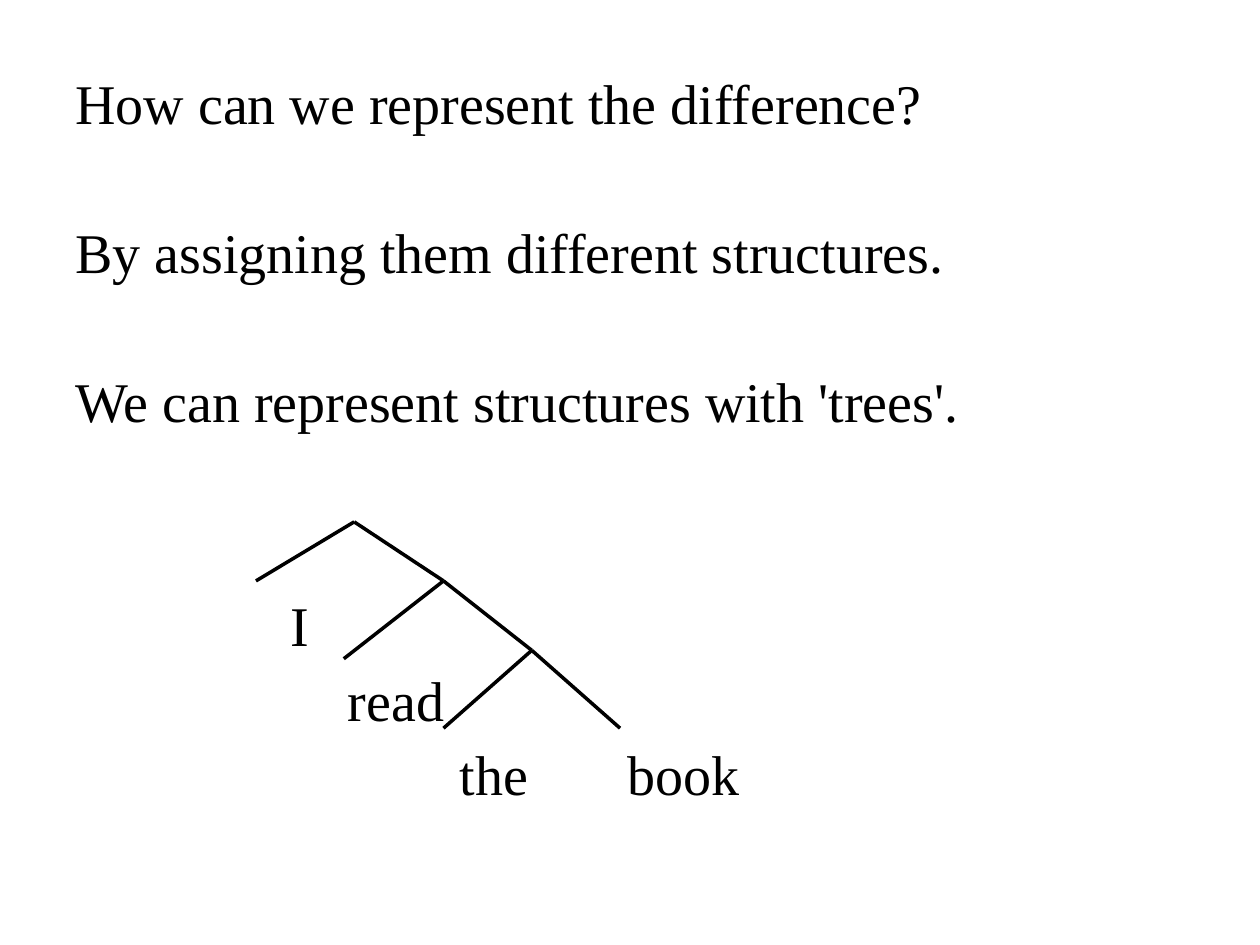
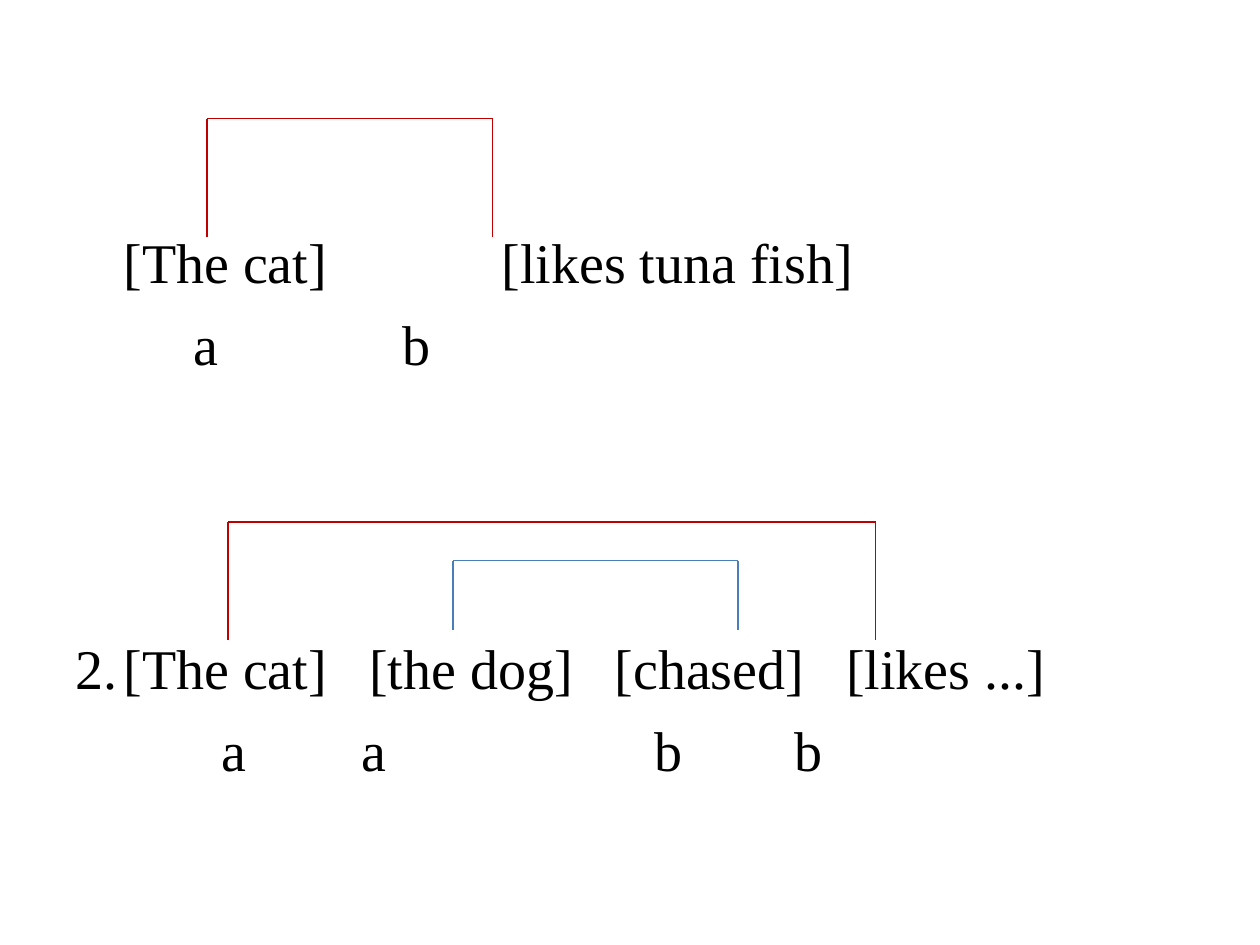
"""Build two slides on sentence structure: a syntax tree and nested dependencies."""
from dataclasses import dataclass

from lxml.etree import SubElement
from pptx import Presentation
from pptx.dml.color import RGBColor
from pptx.enum.shapes import MSO_CONNECTOR
from pptx.oxml.ns import qn
from pptx.util import Cm, Pt


@dataclass(frozen=True)
class Theme:
    font: str = "Times New Roman"
    size: float = 32
    row_gap: float = 8
    ink: str = "000000"
    outer: str = "C00000"
    inner: str = "4A7EBB"
    tree_width: float = 2
    bracket_width: float = 0.75


THEME = Theme()

# Each row: lines skipped above it, then its words with their tab positions.
TREE_TEXT = {
    "box": (1.27, 1.4, 22.86, 15.62),
    "line_spacing": 0.9,
    "pitch": 42.7,
    "rows": [
        (0, [(0, "How can we represent the difference?")]),
        (1, [(0, "By assigning them different structures.")]),
        (1, [(0, "We can represent structures with 'trees'.")]),
        (2, [(4.34, "I")]),
        (0, [(5.49, "read")]),
        (0, [(7.75, "the"), (11.13, "book")]),
    ],
}
TREE_NODES = {
    "sentence": (7.14, 10.52),
    "I": (5.16, 11.71),
    "verb phrase": (8.94, 11.71),
    "read": (6.93, 13.28),
    "noun phrase": (10.72, 13.11),
    "the": (8.94, 14.68),
    "book": (12.5, 14.68),
}
TREE_CHILDREN = {
    "sentence": ("I", "verb phrase"),
    "verb phrase": ("read", "noun phrase"),
    "noun phrase": ("the", "book"),
}

NESTING_TEXT = {
    "box": (1.27, 4.47, 22.86, 13.79),
    "line_spacing": 1.0,
    "pitch": 46.4,
    "rows": [
        (0, [(0.97, "[The cat]"), (8.59, "[likes tuna fish]")]),
        (0, [(2.39, "a"), (6.6, "b")]),
        (3, [(0, "2."), (0.97, "[The cat]"), (5.92, "[the dog]"),
             (10.87, "[chased]"), (15.54, "[likes ...]")]),
        (0, [(2.95, "a"), (5.77, "a"), (11.68, "b"), (14.5, "b")]),
    ],
}
# Left, right, top, bottom and colour of each bracket.
BRACKETS = [
    (4.17, 9.93, 2.39, 4.78, THEME.outer),
    (4.6, 17.65, 10.52, 12.9, THEME.outer),
    (9.13, 14.88, 11.3, 12.7, THEME.inner),
]


def add_text(slide, content):
    text_frame = slide.shapes.add_textbox(*map(Cm, content["box"])).text_frame
    text_frame.word_wrap = True
    for index, (skipped, words) in enumerate(content["rows"]):
        paragraph = text_frame.paragraphs[0] if index == 0 else text_frame.add_paragraph()
        paragraph.text = "".join(f"\t{word}" if stop else word for stop, word in words)
        paragraph.line_spacing = content["line_spacing"]
        if index:
            paragraph.space_before = Pt(THEME.row_gap + skipped * content["pitch"])
        add_tab_stops(paragraph, [stop for stop, _ in words if stop])
        for run in paragraph.runs:
            run.font.name = THEME.font
            run.font.size = Pt(THEME.size)
            run.font.color.rgb = RGBColor.from_string(THEME.ink)


def add_tab_stops(paragraph, stops):
    if stops:
        properties = paragraph._p.get_or_add_pPr()
        tab_list = SubElement(properties, qn("a:tabLst"))
        for stop in stops:
            SubElement(tab_list, qn("a:tab"), pos=str(int(Cm(stop))), algn="l")


def add_line(slide, start, end, color, width):
    connector = slide.shapes.add_connector(
        MSO_CONNECTOR.STRAIGHT, *map(Cm, (*start, *end)))
    connector.line.color.rgb = RGBColor.from_string(color)
    connector.line.width = Pt(width)
    SubElement(connector._element.spPr, qn("a:effectLst"))


def add_tree(slide):
    for parent, children in TREE_CHILDREN.items():
        for child in children:
            add_line(slide, TREE_NODES[parent], TREE_NODES[child],
                     THEME.ink, THEME.tree_width)


def add_brackets(slide):
    for left, right, top, bottom, color in BRACKETS:
        corners = [(left, bottom), (left, top), (right, top), (right, bottom)]
        for start, end in zip(corners, corners[1:]):
            add_line(slide, start, end, color, THEME.bracket_width)


def main():
    presentation = Presentation()
    presentation.slide_width, presentation.slide_height = Cm(25.4), Cm(19.05)
    blank_layout = presentation.slide_layouts[6]
    for content, add_drawing in ((TREE_TEXT, add_tree), (NESTING_TEXT, add_brackets)):
        slide = presentation.slides.add_slide(blank_layout)
        add_text(slide, content)
        add_drawing(slide)
    presentation.save("out.pptx")


if __name__ == "__main__":
    main()
